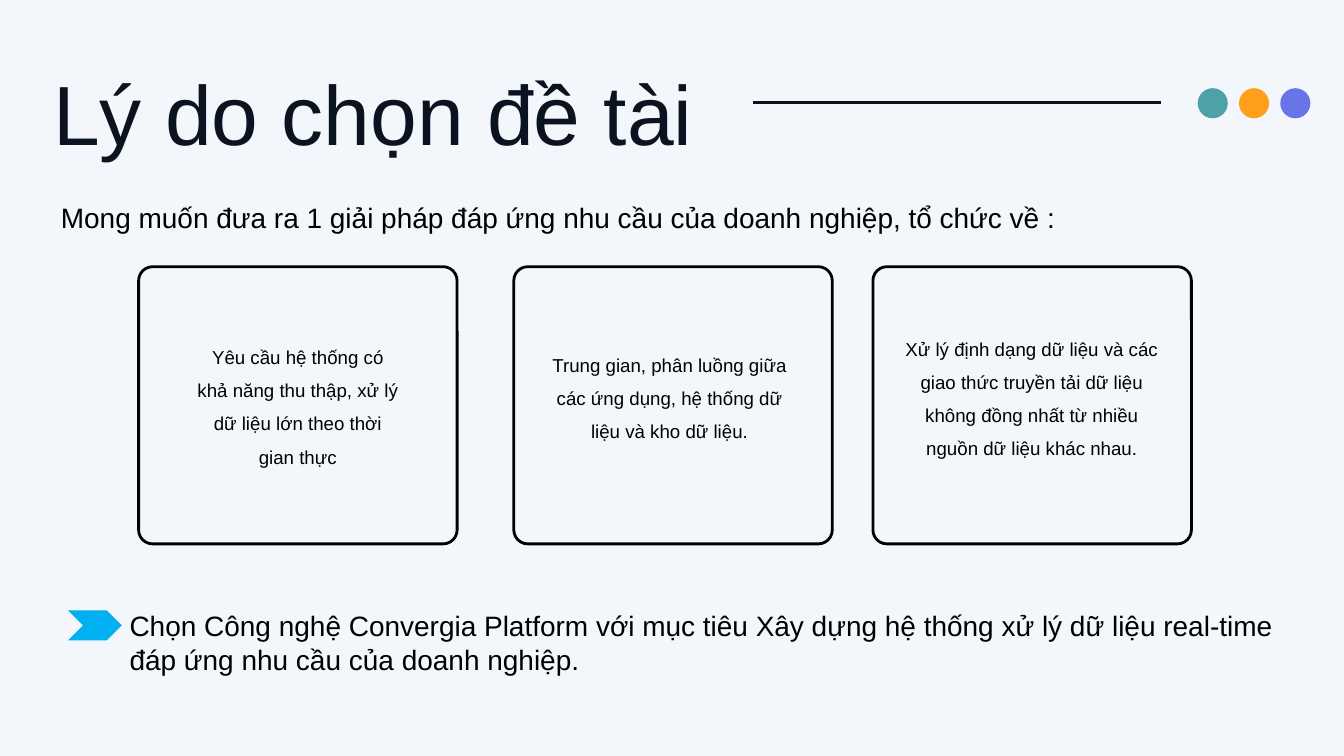
from dataclasses import dataclass

from lxml.etree import SubElement
from pptx import Presentation
from pptx.dml.color import RGBColor
from pptx.enum.shapes import MSO_CONNECTOR, MSO_SHAPE
from pptx.enum.text import MSO_ANCHOR, MSO_AUTO_SIZE, PP_ALIGN
from pptx.oxml.ns import qn
from pptx.util import Pt

EMU_PER_PX = 9525


@dataclass(frozen=True)
class Theme:
    """Hold the colours, font and type sizes of the slide."""

    background: str = "F3F6FA"
    heading: str = "0B1320"
    body: str = "000000"
    arrow: str = "00B0F0"
    dots: tuple = ("4DA1A9", "FF9F1C", "6874E8")
    font: str = "Arial"
    title_size: int = 90
    lead_size: int = 30
    card_size: int = 20
    stroke: int = 3


THEME = Theme()

CARD_TOP, CARD_WIDTH, CARD_HEIGHT, CARD_RADIUS = 381, 455, 396, 20
REASONS = (
    (198, (273, 428, 305, 291),
     "Yêu cầu hệ thống có khả năng thu thập, xử lý dữ liệu lớn theo thời gian thực"),
    (734, (776, 404, 361, 314),
     "Trung gian, phân luồng giữa các ứng dụng, hệ thống dữ liệu và kho dữ liệu."),
    (1247, (1287, 392, 374, 339),
     "Xử lý định dạng dữ liệu và các giao thức truyền tải dữ liệu không đồng nhất "
     "từ nhiều nguồn dữ liệu khác nhau."),
)
DOT_LEFT, DOT_TOP, DOT_SIZE, DOT_STEP = 1711, 126, 43, 59


def px(*lengths):
    """Turn pixel lengths into a list of EMU."""
    return [length * EMU_PER_PX for length in lengths]


def rgb(code):
    """Return the colour for a hex code."""
    return RGBColor.from_string(code)


def write_text(holder, text, *, size, color=THEME.body, align=PP_ALIGN.LEFT,
               anchor=MSO_ANCHOR.TOP, spacing=1.0, inset=(10, 5)):
    """Put one formatted paragraph into a text holder."""
    frame = holder.text_frame
    frame.word_wrap = True
    frame.auto_size = MSO_AUTO_SIZE.NONE
    frame.vertical_anchor = anchor
    frame.margin_left, frame.margin_top = px(*inset)
    frame.margin_right, frame.margin_bottom = px(*inset)
    paragraph = frame.paragraphs[0]
    paragraph.alignment = align
    paragraph.line_spacing = spacing
    run = paragraph.add_run()
    run.text = text
    run.font.name = THEME.font
    run.font.size = Pt(size)
    run.font.color.rgb = rgb(color)


def add_text(slide, box, text, **style):
    """Add a text box with formatted text."""
    write_text(slide.shapes.add_textbox(*px(*box)), text, **style)


def add_title(slide, box, text):
    """Place and format the title placeholder."""
    title = slide.shapes.title
    title.left, title.top, title.width, title.height = px(*box)
    write_text(title, text, size=THEME.title_size, color=THEME.heading,
               spacing=1.2, inset=(0, 0))


def add_solid(slide, preset, box, color):
    """Add a filled shape without an outline."""
    solid = slide.shapes.add_shape(preset, *px(*box))
    solid.shadow.inherit = False
    solid.fill.solid()
    solid.fill.fore_color.rgb = rgb(color)
    solid.line.fill.background()


def add_card(slide, left, text_box, reason):
    """Add a rounded outline with its centred reason."""
    card = slide.shapes.add_shape(
        MSO_SHAPE.ROUNDED_RECTANGLE, *px(left, CARD_TOP, CARD_WIDTH, CARD_HEIGHT))
    card.adjustments[0] = CARD_RADIUS / CARD_HEIGHT
    card.shadow.inherit = False
    card.fill.background()
    card.line.color.rgb = rgb(THEME.body)
    card.line.width = Pt(THEME.stroke)
    add_text(slide, text_box, reason, size=THEME.card_size, align=PP_ALIGN.CENTER,
             anchor=MSO_ANCHOR.MIDDLE, spacing=1.48, inset=(6, 6))


def add_rule(slide, left, right, y):
    """Add the horizontal line beside the title."""
    rule = slide.shapes.add_connector(MSO_CONNECTOR.STRAIGHT, *px(left, y, right, y))
    rule.line.color.rgb = rgb(THEME.heading)
    rule.line.width = Pt(THEME.stroke)
    SubElement(rule._element.spPr, qn("a:effectLst"))


def main():
    """Build and save the slide."""
    deck = Presentation()
    deck.slide_width, deck.slide_height = px(1920, 1080)
    slide = deck.slides.add_slide(deck.slide_layouts.get_by_name("Title Only"))
    slide.background.fill.solid()
    slide.background.fill.fore_color.rgb = rgb(THEME.background)

    add_title(slide, (76, 59, 985, 175), "Lý do chọn đề tài")
    add_rule(slide, 1076, 1658, 147)
    for index, color in enumerate(THEME.dots):
        left = DOT_LEFT + index * DOT_STEP
        add_solid(slide, MSO_SHAPE.OVAL, (left, DOT_TOP, DOT_SIZE, DOT_SIZE), color)

    add_text(slide, (77, 282, 1479, 59),
             "Mong muốn đưa ra 1 giải pháp đáp ứng nhu cầu của doanh nghiệp, tổ chức về :",
             size=THEME.lead_size)
    for left, text_box, reason in REASONS:
        add_card(slide, left, text_box, reason)

    add_solid(slide, MSO_SHAPE.CHEVRON, (97, 872, 77, 43), THEME.arrow)
    add_text(slide, (175, 865, 1677, 107),
             "Chọn Công nghệ Convergia Platform với mục tiêu Xây dựng hệ thống xử lý "
             "dữ liệu real-time đáp ứng nhu cầu của doanh nghiệp.",
             size=THEME.lead_size)
    deck.save("out.pptx")


if __name__ == "__main__":
    main()
